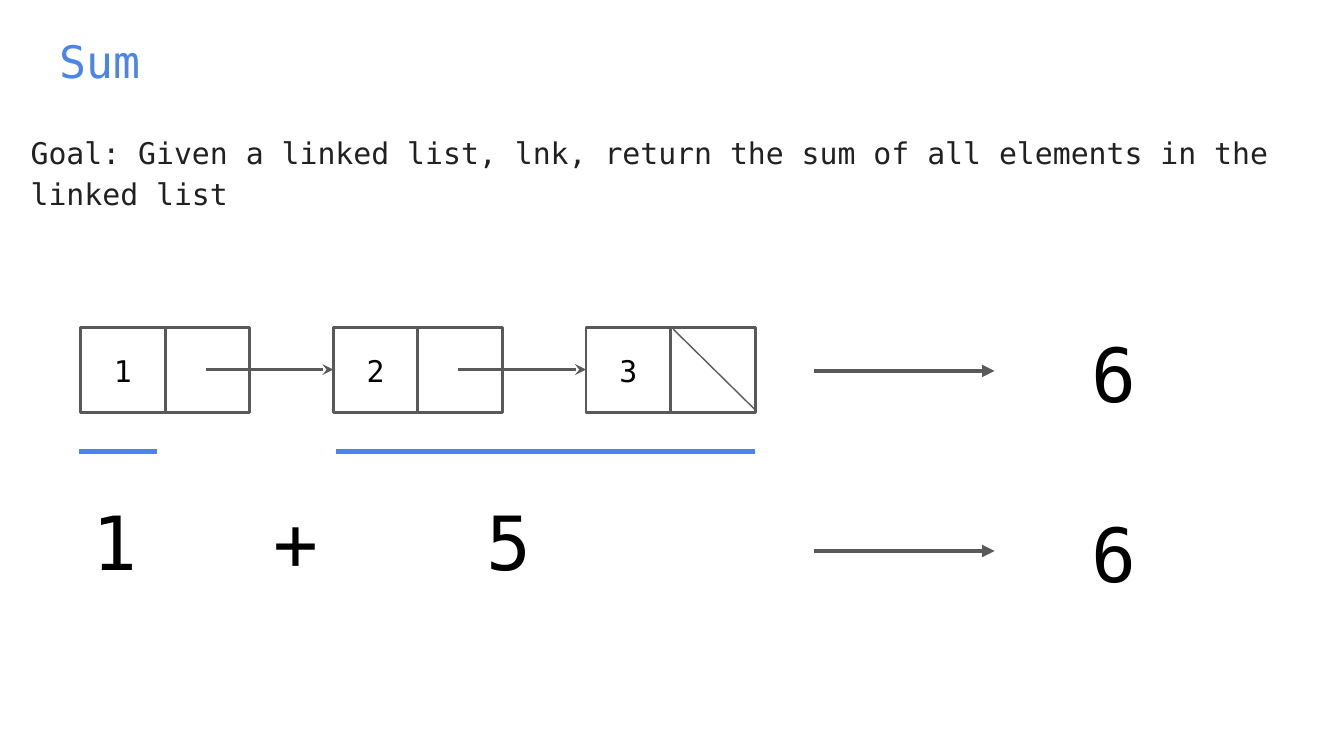
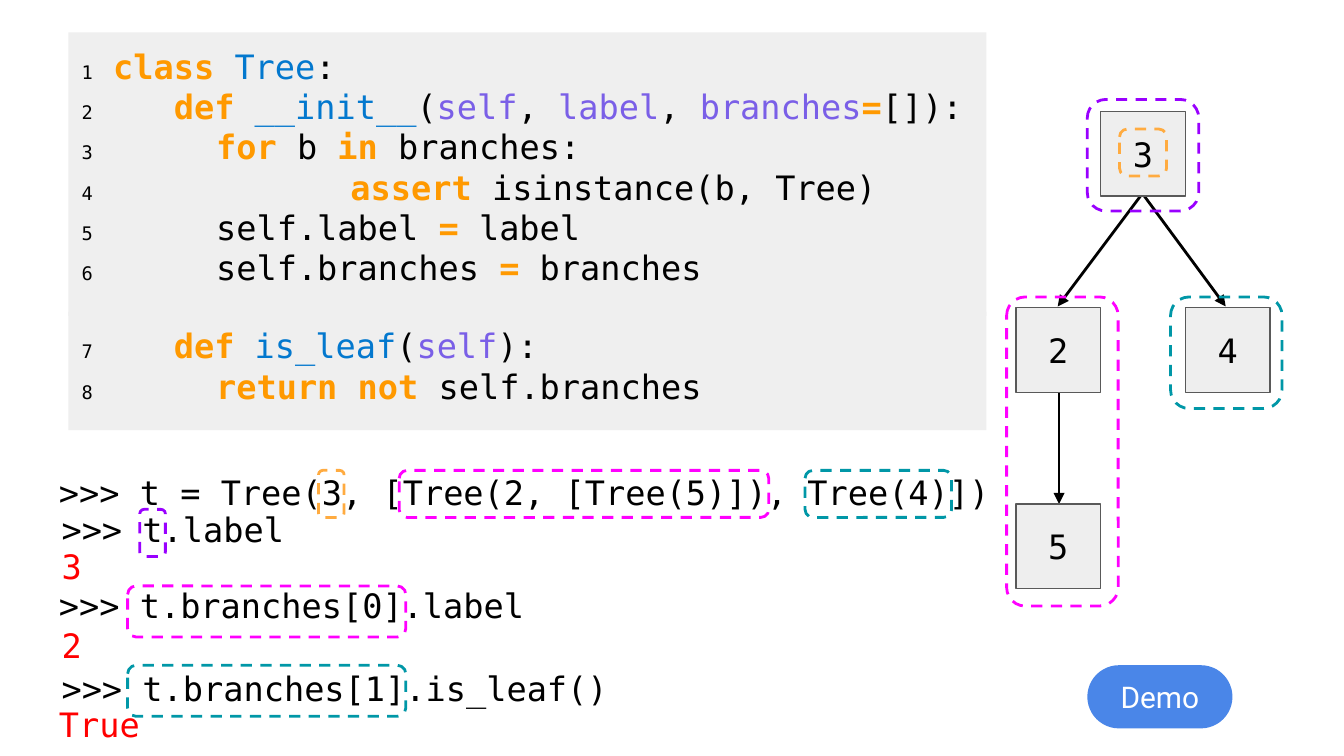
"""Build two slides about summing a linked list and reading a tree class."""

from dataclasses import dataclass
from typing import NamedTuple, Optional

from lxml.etree import SubElement
from pptx import Presentation
from pptx.dml.color import RGBColor
from pptx.enum.dml import MSO_LINE_DASH_STYLE as Dash
from pptx.enum.shapes import MSO_AUTO_SHAPE_TYPE as Outline, MSO_CONNECTOR_TYPE as Link
from pptx.enum.text import MSO_ANCHOR as Anchor, MSO_AUTO_SIZE as Fit, PP_ALIGN as Align
from pptx.oxml.ns import qn
from pptx.shapes.autoshape import Shape
from pptx.slide import Slide
from pptx.text.text import Font, TextFrame
from pptx.util import Inches, Pt


@dataclass(frozen=True)
class Theme:
    """Hold the colours, fonts and type sizes of the deck."""

    mono: str = "DejaVu Sans Mono"
    sans: str = "Roboto"
    accent: str = "4A86E8"
    body: str = "212121"
    grey: str = "595959"
    black: str = "000000"
    white: str = "FFFFFF"
    output: str = "FF0000"
    node_fill: str = "EEEEEE"
    code_fill: str = "EFEFEF"
    keyword: str = "FF9900"
    name: str = "0378CE"
    parameter: str = "7A5FE7"
    orange: str = "FFAB40"
    magenta: str = "FF00FF"
    teal: str = "0097A7"
    violet: str = "9900FF"
    title_size: int = 24
    figure_size: int = 40
    code_size: int = 18
    body_size: int = 16
    number_size: int = 10


THEME = Theme()


class Area(NamedTuple):
    """Give a rectangle in inches."""

    left: float
    top: float
    width: float
    height: float


class Label(NamedTuple):
    """Describe a piece of text in one style."""

    text: str
    size: int = THEME.code_size
    color: str = THEME.black
    font: str = THEME.mono


class Stroke(NamedTuple):
    """Describe a straight line between two points."""

    start: tuple[float, float]
    end: tuple[float, float]
    color: str = THEME.grey
    weight: float = 2.25
    arrow: Optional[str] = None


class Node(NamedTuple):
    """Describe a tree node."""

    value: str
    left: float
    top: float


class Highlight(NamedTuple):
    """Describe a dashed frame."""

    area: Area
    color: str


class Prompt(NamedTuple):
    """Describe a line of the interpreter session."""

    text: str
    area: Area
    color: str = THEME.black


class Span(NamedTuple):
    """Describe a coloured part of a code line."""

    text: str
    color: str = THEME.black


CELL = 0.63
NODE_PITCH = 1.88
LIST_LEFT, LIST_TOP = 0.6, 2.44
LIST_VALUES = ("1", "2", "3")
FIGURES = (("6", 8.02, 2.34), ("1", 0.59, 3.59), ("+", 1.94, 3.59),
           ("5", 3.52, 3.59), ("6", 8.02, 3.68))
SUM_STROKES = (
    Stroke((5.01, 2.45), (5.62, 3.05), weight=0.75),
    *(Stroke((6.06, y), (7.4, y), arrow="triangle") for y in (2.76, 4.1)),
    *(Stroke((left, 3.36), (right, 3.36), THEME.accent)
      for left, right in ((0.59, 1.17), (2.5, 5.62))),
)

TREE_NODES = (Node("3", 8.19, 0.83), Node("2", 7.56, 2.29),
              Node("4", 8.82, 2.29), Node("5", 7.56, 3.75))
TREE_EDGES = (((8.5, 1.44), (7.87, 2.28)), ((8.5, 1.44), (9.12, 2.28)),
              ((7.88, 2.82), (7.88, 3.75)))
HIGHLIGHTS = (
    Highlight(Area(2.37, 3.5, 0.19, 0.35), THEME.orange),
    Highlight(Area(2.97, 3.5, 2.75, 0.35), THEME.magenta),
    Highlight(Area(5.99, 3.5, 1.09, 0.35), THEME.teal),
    Highlight(Area(1.04, 3.79, 0.19, 0.35), THEME.violet),
    Highlight(Area(0.95, 4.36, 2.07, 0.38), THEME.magenta),
    Highlight(Area(0.95, 4.95, 2.07, 0.38), THEME.teal),
    Highlight(Area(8.09, 0.74, 0.83, 0.83), THEME.violet),
    Highlight(Area(7.49, 2.21, 0.83, 2.3), THEME.magenta),
    Highlight(Area(8.71, 2.21, 0.83, 0.83), THEME.teal),
    Highlight(Area(8.33, 0.96, 0.35, 0.35), THEME.orange),
)
SESSION = (
    Prompt(">>> t = Tree(3, [Tree(2, [Tree(5)]), Tree(4)])", Area(0.34, 3.41, 7.25, 0.56)),
    Prompt(">>> t.label", Area(0.36, 3.69, 2.07, 0.56)),
    Prompt("3", Area(0.36, 3.96, 0.4, 0.56), THEME.output),
    Prompt(">>> t.branches[0].label", Area(0.34, 4.25, 3.67, 0.56)),
    Prompt("2", Area(0.36, 4.55, 0.4, 0.56), THEME.output),
    Prompt(">>> t.branches[1].is_leaf()", Area(0.36, 4.87, 4.56, 0.56)),
    Prompt("True", Area(0.34, 5.14, 1, 0.56), THEME.output),
)


def keyword(text: str) -> Span:
    """Make a keyword span."""
    return Span(text, THEME.keyword)


def name(text: str) -> Span:
    """Make a definition name span."""
    return Span(text, THEME.name)


def parameter(text: str) -> Span:
    """Make a parameter span."""
    return Span(text, THEME.parameter)


CLASS_LINES = (
    (keyword(" class "), name("Tree"), Span(":")),
    (keyword("    def "), name("__init__"), Span("("), parameter("self"), Span(", "),
     parameter("label"), Span(", "), parameter("branches"), keyword("="), Span("[]):")),
    (keyword("\tfor"), Span(" b "), keyword("in"), Span(" branches:")),
    (keyword("\t\tassert"), Span(" isinstance(b, Tree)")),
    (Span("\tself.label "), keyword("="), Span(" label")),
    (Span("\tself.branches "), keyword("="), Span(" branches")),
)
LEAF_LINES = (
    (keyword("    def "), name("is_leaf"), Span("("), parameter("self"), Span("):")),
    (keyword("\treturn not"), Span(" self.branches")),
)


def place(area: Area) -> tuple[Inches, ...]:
    """Turn an area into lengths."""
    return tuple(Inches(value) for value in area)


def style_font(font: Font, size: int, color: str, face: str = THEME.mono) -> None:
    """Set the face, size and colour of a font."""
    font.name, font.size = face, Pt(size)
    font.color.rgb = RGBColor.from_string(color)


def prepare_frame(frame: TextFrame, anchor: Anchor = Anchor.TOP) -> None:
    """Set the wrapping, insets and anchor of a text frame."""
    frame.word_wrap, frame.auto_size = True, Fit.NONE
    frame.vertical_anchor = anchor
    frame.margin_left = frame.margin_right = Inches(0.1)
    frame.margin_top = frame.margin_bottom = Inches(0.1)


def write(frame: TextFrame, label: Label, align: Align = Align.LEFT,
          anchor: Anchor = Anchor.TOP) -> None:
    """Put one styled paragraph in a text frame."""
    prepare_frame(frame, anchor)
    frame.text = label.text
    para = frame.paragraphs[0]
    para.alignment = align
    style_font(para.runs[0].font, label.size, label.color, label.font)


def add_text(page: Slide, area: Area, label: Label) -> TextFrame:
    """Add a text box."""
    frame = page.shapes.add_textbox(*place(area)).text_frame
    write(frame, label)
    return frame


def add_box(page: Slide, area: Area, kind: Outline = Outline.RECTANGLE,
            fill: Optional[str] = None, line: Optional[str] = None, weight: float = 1.5,
            label: Optional[Label] = None) -> Shape:
    """Add a preset shape with an optional centred label."""
    box = page.shapes.add_shape(kind, *place(area))
    box.shadow.inherit = False
    if fill:
        box.fill.solid()
        box.fill.fore_color.rgb = RGBColor.from_string(fill)
    else:
        box.fill.background()
    if line:
        box.line.color.rgb = RGBColor.from_string(line)
        box.line.width = Pt(weight)
    else:
        box.line.fill.background()
    if label:
        write(box.text_frame, label, Align.CENTER, Anchor.MIDDLE)
    return box


def add_stroke(page: Slide, stroke: Stroke) -> None:
    """Add a straight line with an optional arrowhead."""
    ends = (Inches(value) for value in (*stroke.start, *stroke.end))
    connector = page.shapes.add_connector(Link.STRAIGHT, *ends)
    connector.line.color.rgb = RGBColor.from_string(stroke.color)
    connector.line.width = Pt(stroke.weight)
    properties = connector._element.spPr
    if stroke.arrow:
        SubElement(properties.find(qn("a:ln")), qn("a:tailEnd"), type=stroke.arrow)
    SubElement(properties, qn("a:effectLst"))


def add_code(page: Slide, area: Area, lines: tuple[tuple[Span, ...], ...], first: int) -> None:
    """Add a shaded block of numbered code lines."""
    frame = add_box(page, area, fill=THEME.code_fill).text_frame
    prepare_frame(frame)
    for index, spans in enumerate(lines):
        para = frame.add_paragraph() if index else frame.paragraphs[0]
        para.alignment = Align.LEFT
        stops = SubElement(para._p.get_or_add_pPr(), qn("a:tabLst"))
        for inches in (1, 2):
            SubElement(stops, qn("a:tab"), pos=str(Inches(inches)), algn="l")
        number = para.add_run()
        number.text = str(first + index)
        style_font(number.font, THEME.number_size, THEME.black)
        for span in spans:
            run = para.add_run()
            run.text = span.text
            run.font.bold = span.color == THEME.keyword
            style_font(run.font, THEME.code_size, span.color)


def build_sum(page: Slide) -> None:
    """Draw the linked list and its sum."""
    title = page.shapes.title
    title.left, title.top, title.width, title.height = place(Area(0.34, 0.15, 9.32, 0.63))
    write(title.text_frame, Label("Sum", THEME.title_size, THEME.accent))
    goal = "Goal: Given a linked list, lnk, return the sum of all elements in the linked list"
    frame = add_text(page, Area(0.13, 0.86, 9.73, 0.75),
                     Label(goal, THEME.body_size, THEME.body))
    frame.paragraphs[0].line_spacing = 1.15
    for index, value in enumerate(LIST_VALUES):
        left = LIST_LEFT + index * NODE_PITCH
        add_box(page, Area(left, LIST_TOP, CELL, CELL), line=THEME.grey,
                label=Label(value, THEME.body_size))
        add_box(page, Area(left + CELL, LIST_TOP, CELL, CELL), line=THEME.grey)
    for index in range(len(LIST_VALUES) - 1):
        left = LIST_LEFT + index * NODE_PITCH
        add_stroke(page, Stroke((left + 0.93, 2.75), (left + NODE_PITCH, 2.75),
                                weight=1.5, arrow="stealth"))
    for stroke in SUM_STROKES:
        add_stroke(page, stroke)
    for text, left, top in FIGURES:
        add_text(page, Area(left, top, 1.42, 1.02), Label(text, THEME.figure_size))


def build_tree(page: Slide) -> None:
    """Draw the tree class, its session and the tree."""
    for start, end in TREE_EDGES:
        add_stroke(page, Stroke(start, end, THEME.black, 1.5, "triangle"))
    for node in TREE_NODES:
        add_box(page, Area(node.left, node.top, CELL, CELL), fill=THEME.node_fill,
                line=THEME.grey, weight=0.75, label=Label(node.value))
    for prompt in SESSION:
        add_text(page, prompt.area, Label(prompt.text, color=prompt.color))
    for highlight in HIGHLIGHTS:
        frame = add_box(page, highlight.area, Outline.ROUNDED_RECTANGLE, line=highlight.color)
        frame.line.dash_style = Dash.DASH
    add_code(page, Area(0.51, 0.24, 6.83, 2.11), CLASS_LINES, 1)
    add_code(page, Area(0.51, 2.32, 6.83, 0.88), LEAF_LINES, len(CLASS_LINES) + 1)
    button = add_box(page, Area(8.09, 4.95, 1.08, 0.47), Outline.ROUNDED_RECTANGLE,
                     fill=THEME.accent,
                     label=Label("Demo", THEME.body_size, THEME.white, THEME.sans))
    button.adjustments[0] = 0.5


def main() -> None:
    """Build and save the deck."""
    deck = Presentation()
    deck.slide_width, deck.slide_height = Inches(10), Inches(10 * 9 / 16)
    title_only, blank = deck.slide_layouts[5], deck.slide_layouts[6]
    build_sum(deck.slides.add_slide(title_only))
    build_tree(deck.slides.add_slide(blank))
    deck.save("out.pptx")


if __name__ == "__main__":
    main()
